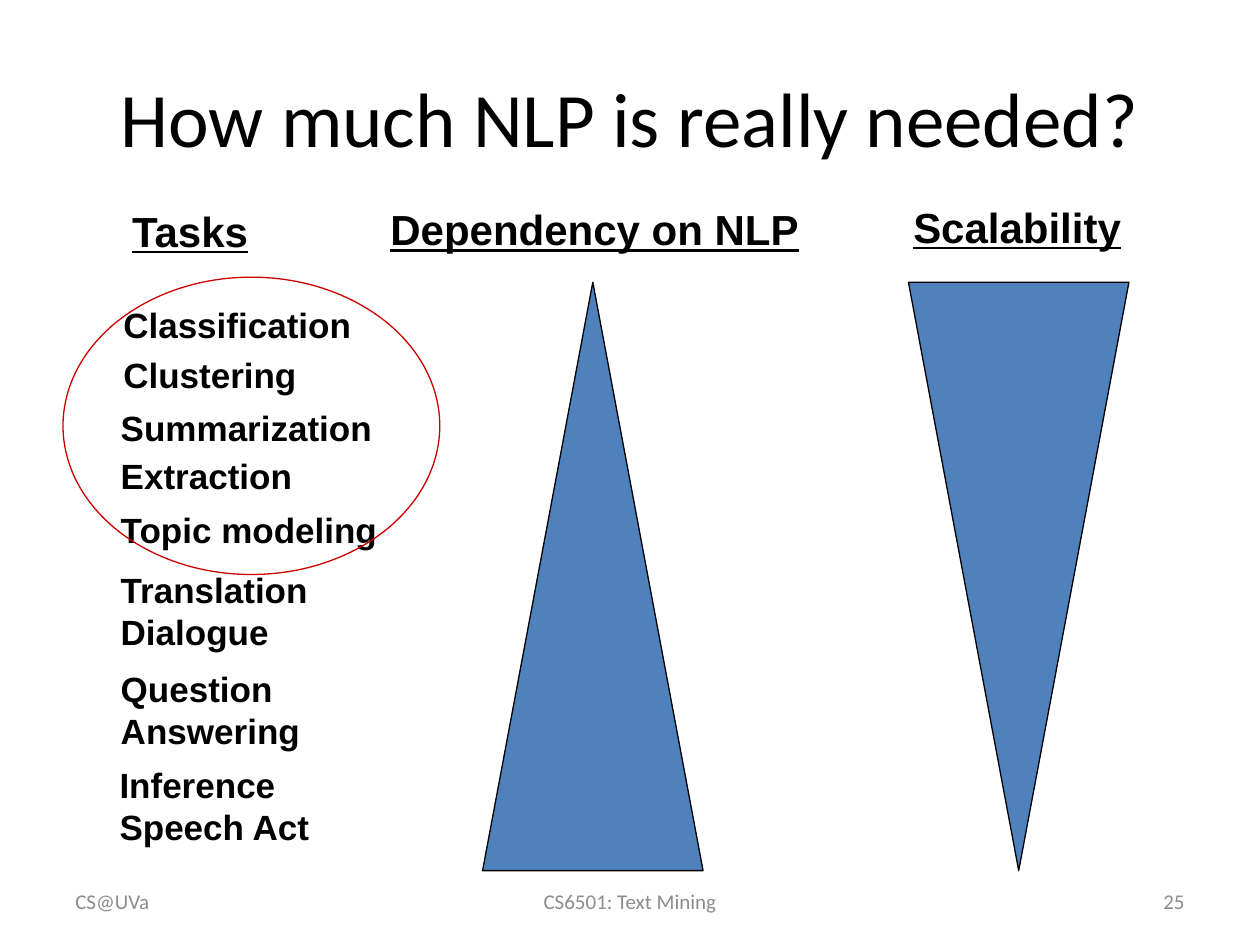
from dataclasses import dataclass

from pptx import Presentation
from pptx.dml.color import RGBColor
from pptx.enum.shapes import MSO_SHAPE as Shape
from pptx.enum.text import MSO_ANCHOR as Anchor, MSO_AUTO_SIZE as AutoSize, PP_ALIGN as Align
from pptx.util import Inches, Pt


@dataclass(frozen=True)
class Style:
    font: str
    size: int
    color: str = "000000"
    bold: bool = False
    underline: bool = False


@dataclass(frozen=True)
class Theme:
    title: Style = Style("Calibri", 44)
    heading: Style = Style("Arial", 24, bold=True, underline=True)
    task: Style = Style("Arial", 20, bold=True)
    footer: Style = Style("Calibri", 12, "8C8C8C")
    wedge: str = "4F81BD"
    outline: str = "000000"
    highlight: str = "CC0000"
    line_width: float = 0.75


THEME = Theme()
WIDTH, HEIGHT = 10, 7.5
MARGIN = 0.05 * WIDTH

# Text, left offset, top offset and width within the task column
TASKS = [
    ("Classification", 0.03, 0, 2.08),
    ("Clustering", 0.03, 0.4, 1.59),
    ("Summarization", 0.01, 0.82, 2.27),
    ("Extraction", 0.01, 1.2, 1.64),
    ("Topic modeling", 0.01, 1.63, 2.25),
    ("Translation\nDialogue", 0.01, 2.1, 1.7),
    ("Question\nAnswering", 0.01, 2.89, 1.62),
    ("Inference\nSpeech Act", 0, 3.65, 1.72),
]


def add_text(slide, box, text, style, align=Align.LEFT, fitted=False):
    """Fitted boxes hug their unwrapped lines; the others wrap and centre vertically."""
    frame = slide.shapes.add_textbox(*map(Inches, box)).text_frame
    frame.word_wrap = not fitted
    frame.auto_size = AutoSize.SHAPE_TO_FIT_TEXT if fitted else AutoSize.NONE
    frame.vertical_anchor = Anchor.TOP if fitted else Anchor.MIDDLE
    frame.text = text
    for paragraph in frame.paragraphs:
        paragraph.alignment = align
        font = paragraph.font
        font.name, font.size = style.font, Pt(style.size)
        font.bold, font.underline = style.bold, style.underline
        font.color.rgb = RGBColor.from_string(style.color)


def add_outlined(slide, kind, box, line, fill=None):
    shape = slide.shapes.add_shape(kind, *map(Inches, box))
    shape.shadow.inherit = False
    if fill:
        shape.fill.solid()
        shape.fill.fore_color.rgb = RGBColor.from_string(fill)
    else:
        shape.fill.background()
    shape.line.color.rgb = RGBColor.from_string(line)
    shape.line.width = Pt(THEME.line_width)
    return shape


def add_task_column(slide, left, top):
    for text, dx, dy, width in TASKS:
        height = 0.77 if "\n" in text else 0.43
        add_text(slide, (left + dx, top + dy, width, height), text, THEME.task, fitted=True)


def add_wedge_column(slide, box, heading, heading_box, rotation=0):
    """Heading box is given relative to the wedge's top left corner."""
    left, top = box[:2]
    dx, dy, width, height = heading_box
    wedge = add_outlined(slide, Shape.ISOSCELES_TRIANGLE, box, THEME.outline, THEME.wedge)
    wedge.rotation = rotation
    add_text(slide, (left + dx, top + dy, width, height), heading, THEME.heading, fitted=True)


def add_footer(slide, box):
    left, top, width, height = box
    side, middle = 2.33, 3.17
    parts = [
        ("CS@UVa", left, side, Align.LEFT),
        ("CS6501: Text Mining", left + (width - middle) / 2, middle, Align.CENTER),
        ("25", left + width - side, side, Align.RIGHT),
    ]
    for text, x, part_width, align in parts:
        add_text(slide, (x, top, part_width, height), text, THEME.footer, align)


def main():
    presentation = Presentation()
    presentation.slide_width, presentation.slide_height = Inches(WIDTH), Inches(HEIGHT)
    slide = presentation.slides.add_slide(presentation.slide_layouts[6])
    content_width = WIDTH - 2 * MARGIN

    add_text(slide, (MARGIN, 0.04 * HEIGHT, content_width, 1.25),
             "How much NLP is really needed?", THEME.title, Align.CENTER)
    add_text(slide, (0.95, 1.58, 1.15, 0.5), "Tasks", THEME.heading, fitted=True)
    add_task_column(slide, 0.85, 2.36)
    add_wedge_column(slide, (3.83, 2.24, 1.75, 4.67), "Dependency on NLP",
                     (-0.83, -0.67, 3.44, 0.5))
    add_wedge_column(slide, (7.21, 2.24, 1.75, 4.67), "Scalability",
                     (-0.06, -0.69, 1.87, 0.5), rotation=180)
    add_footer(slide, (MARGIN, 6.95, content_width, 0.4))
    add_outlined(slide, Shape.OVAL, (MARGIN, 2.2, 2.99, 2.36), THEME.highlight)
    presentation.save("out.pptx")


if __name__ == "__main__":
    main()
